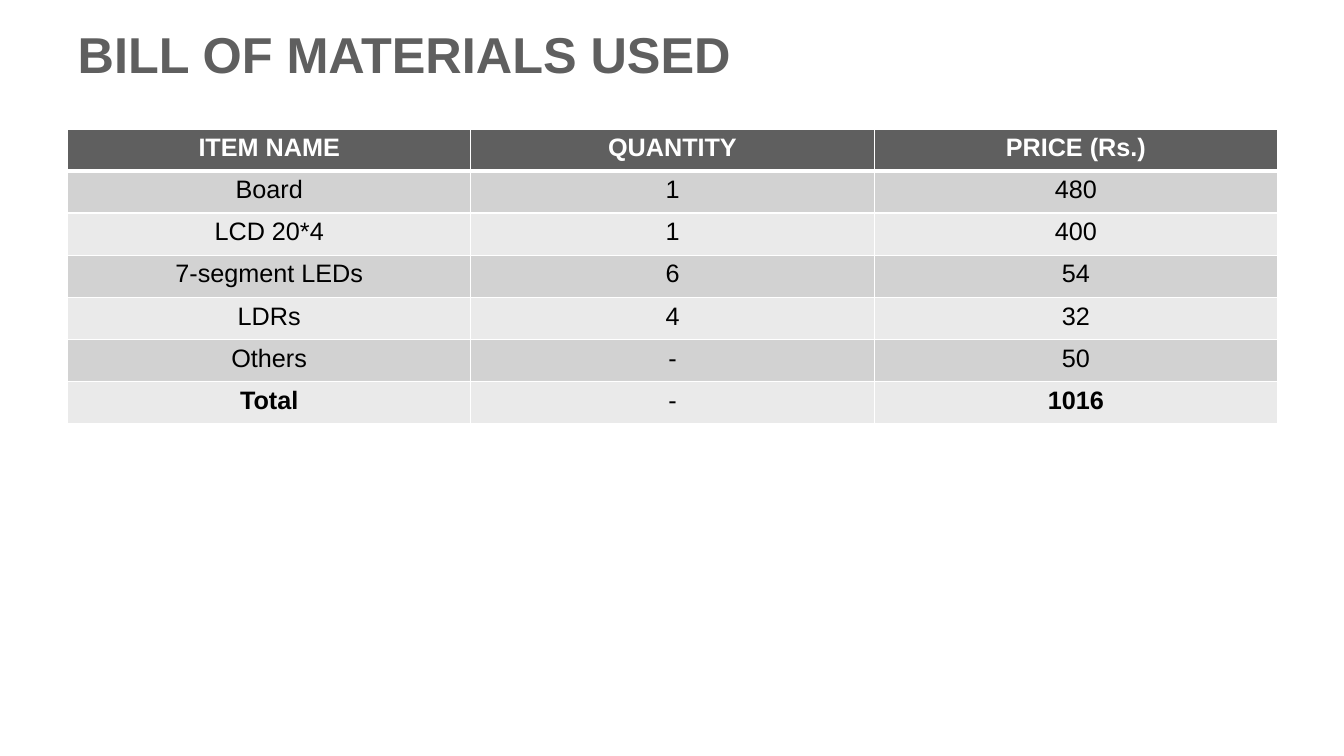
from lxml.etree import SubElement
from pptx import Presentation
from pptx.dml.color import RGBColor
from pptx.enum.text import MSO_ANCHOR, PP_ALIGN
from pptx.oxml.ns import qn
from pptx.util import Inches, Pt

COLORS = {
    "dark": "5F5F5F",
    "band": "D2D2D2",
    "light": "EAEAEA",
    "white": "FFFFFF",
    "black": "000000",
}
ROWS = [
    ("ITEM NAME", "QUANTITY", "PRICE (Rs.)"),
    ("Board", "1", "480"),
    ("LCD 20*4", "1", "400"),
    ("7-segment LEDs", "6", "54"),
    ("LDRs", "4", "32"),
    ("Others", "-", "50"),
    ("Total", "-", "1016"),
]
MARGIN = Inches(0.67)
COLUMN_WIDTH = Inches(4)
ROW_HEIGHT = Inches(2.92 / len(ROWS))
TABLE_WIDTH = COLUMN_WIDTH * len(ROWS[0])


def write_text(frame, text, size=18, color="black", bold=False, align=PP_ALIGN.CENTER):
    paragraph = frame.paragraphs[0]
    paragraph.alignment = align
    span = paragraph.add_run()
    span.text = text
    span.font.name = "Arial"
    span.font.size = Pt(size)
    span.font.bold = bold
    span.font.color.rgb = RGBColor.from_string(COLORS[color])


def add_borders(cell, **widths):
    properties = cell._tc.get_or_add_tcPr()
    for side in "LRTB":
        line = SubElement(properties, qn(f"a:ln{side}"), w=str(Pt(widths.get(side, 1))))
        fill = SubElement(line, qn("a:solidFill"))
        SubElement(fill, qn("a:srgbClr"), val=COLORS["white"])


deck = Presentation()
deck.slide_width = Inches(13.33)
deck.slide_height = Inches(7.5)
page = deck.slides.add_slide(deck.slide_layouts[5])

title = page.shapes.title
title.left, title.top = MARGIN, Inches(0.21)
title.width, title.height = TABLE_WIDTH, Inches(0.64)
title.text_frame.vertical_anchor = MSO_ANCHOR.MIDDLE
write_text(title.text_frame, "BILL OF MATERIALS USED", size=36, color="dark",
           bold=True, align=PP_ALIGN.LEFT)

table = page.shapes.add_table(
    len(ROWS), len(ROWS[0]), MARGIN, Inches(1.28), TABLE_WIDTH, ROW_HEIGHT * len(ROWS)
).table
for column in table.columns:
    column.width = COLUMN_WIDTH

for row_index, values in enumerate(ROWS):
    table.rows[row_index].height = ROW_HEIGHT
    header = row_index == 0
    total = row_index == len(ROWS) - 1
    shade = "dark" if header else "band" if row_index % 2 else "light"
    for column_index, value in enumerate(values):
        cell = table.cell(row_index, column_index)
        add_borders(cell, T=3 if row_index == 1 else 1, B=3 if header else 1)
        cell.fill.solid()
        cell.fill.fore_color.rgb = RGBColor.from_string(COLORS[shade])
        write_text(cell.text_frame, value, color="white" if header else "black",
                   bold=header or (total and value != "-"))

deck.save("out.pptx")
